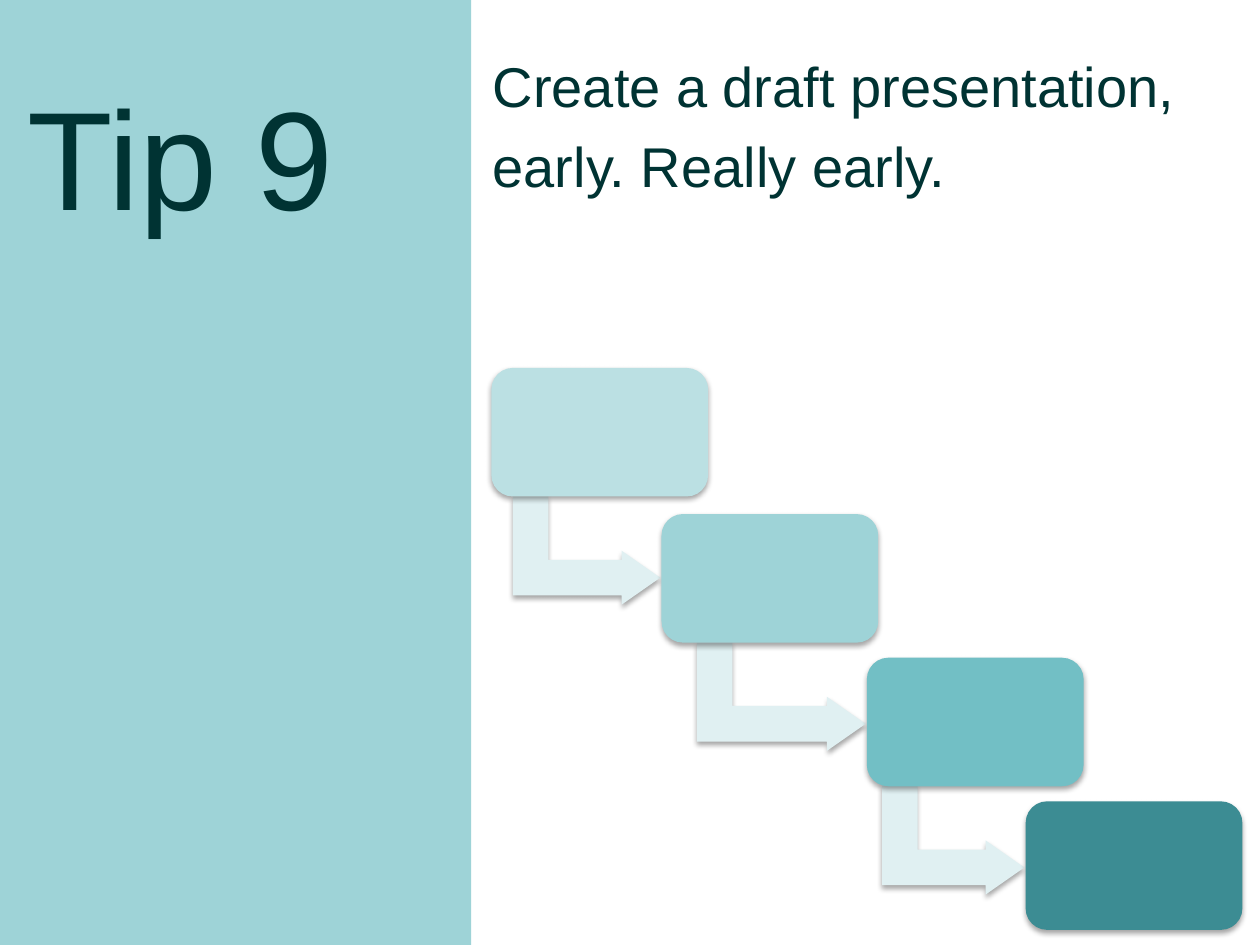
"""Build the Tip 9 slide: a side panel, a headline and a four-step cascade."""
import pptx
import pptx.dml.color
import pptx.enum.shapes
import pptx.util
import lxml.etree

PX = 9144
SLIDE = (1000, 750)
PANEL = (0, 0, 374, 750)
THEME = {
    "font": "Arial", "ink": "003333", "panel": "9ED3D7", "arrow": "E0F0F2",
    "headline": 32, "tip": 80, "line": 1.2, "before": 0.1,
    "corner": 0.167, "bend": (0.328, 0.25, 0.358),
}
TEXTS = [
    ("Create a draft presentation, early. Really early.", "headline", (391, 30, 559, 640)),
    ("Tip 9", "tip", (22, 29, 329, 513)),
]
STEPS = [(390, 292, "BBE0E3"), (525, 408, "9ED3D7"), (688, 522, "72BFC5"), (814, 636, "3C8C93")]
STEP_SIZE = (172, 102)
ARROW_LEFTS = [407, 553, 700]
ARROW_DEPTH = 86
ARROW_GAP = 1
SHADOW = (
    '<a:effectLst xmlns:a="http://schemas.openxmlformats.org/drawingml/2006/main">'
    '<a:outerShdw blurRad="39370" dist="22860" dir="5400000" rotWithShape="0">'
    '<a:srgbClr val="000000"><a:alpha val="35000"/></a:srgbClr></a:outerShdw></a:effectLst>'
)
KINDS = pptx.enum.shapes.MSO_SHAPE


def emu(box):
    return [round(length * PX) for length in box]


def color(value):
    return pptx.dml.color.RGBColor.from_string(value)


def add_block(slide, kind, box, fill, adjustments=(), shadow=True):
    block = slide.shapes.add_shape(kind, *emu(box))
    block.fill.solid()
    block.fill.fore_color.rgb = color(fill)
    block.line.fill.background()
    for index, value in enumerate(adjustments):
        block.adjustments[index] = value
    if shadow:
        block._element.spPr.append(lxml.etree.fromstring(SHADOW))
    else:
        block.shadow.inherit = False
    return block


def add_text(slide, words, role, box):
    frame = slide.shapes.add_textbox(*emu(box)).text_frame
    frame.word_wrap = True
    frame.margin_left = frame.margin_top = frame.margin_right = frame.margin_bottom = 0
    frame.text = words
    paragraph = frame.paragraphs[0]
    paragraph.line_spacing = THEME["line"]
    paragraph.space_before = pptx.util.Pt(THEME[role] * THEME["before"])
    font = paragraph.runs[0].font
    font.name = THEME["font"]
    font.size = pptx.util.Pt(THEME[role])
    font.color.rgb = color(THEME["ink"])


def add_arrow(slide, left, top, right):
    length = right - left
    center_x, center_y = (left + right) / 2, top + ARROW_DEPTH / 2
    box = (center_x - ARROW_DEPTH / 2, center_y - length / 2, ARROW_DEPTH, length)
    add_block(slide, KINDS.BENT_UP_ARROW, box, THEME["arrow"], THEME["bend"]).rotation = 90


def main():
    deck = pptx.Presentation()
    deck.slide_width, deck.slide_height = emu(SLIDE)
    slide = deck.slides.add_slide(deck.slide_layouts[6])
    add_block(slide, KINDS.RECTANGLE, PANEL, THEME["panel"], shadow=False)
    for words, role, box in TEXTS:
        add_text(slide, words, role, box)
    for index, (left, top, fill) in enumerate(STEPS):
        if index < len(ARROW_LEFTS):
            next_left = STEPS[index + 1][0]
            add_arrow(slide, ARROW_LEFTS[index], top + STEP_SIZE[1], next_left - ARROW_GAP)
        add_block(slide, KINDS.ROUNDED_RECTANGLE, (left, top, *STEP_SIZE), fill, [THEME["corner"]])
    deck.save("out.pptx")


if __name__ == "__main__":
    main()
